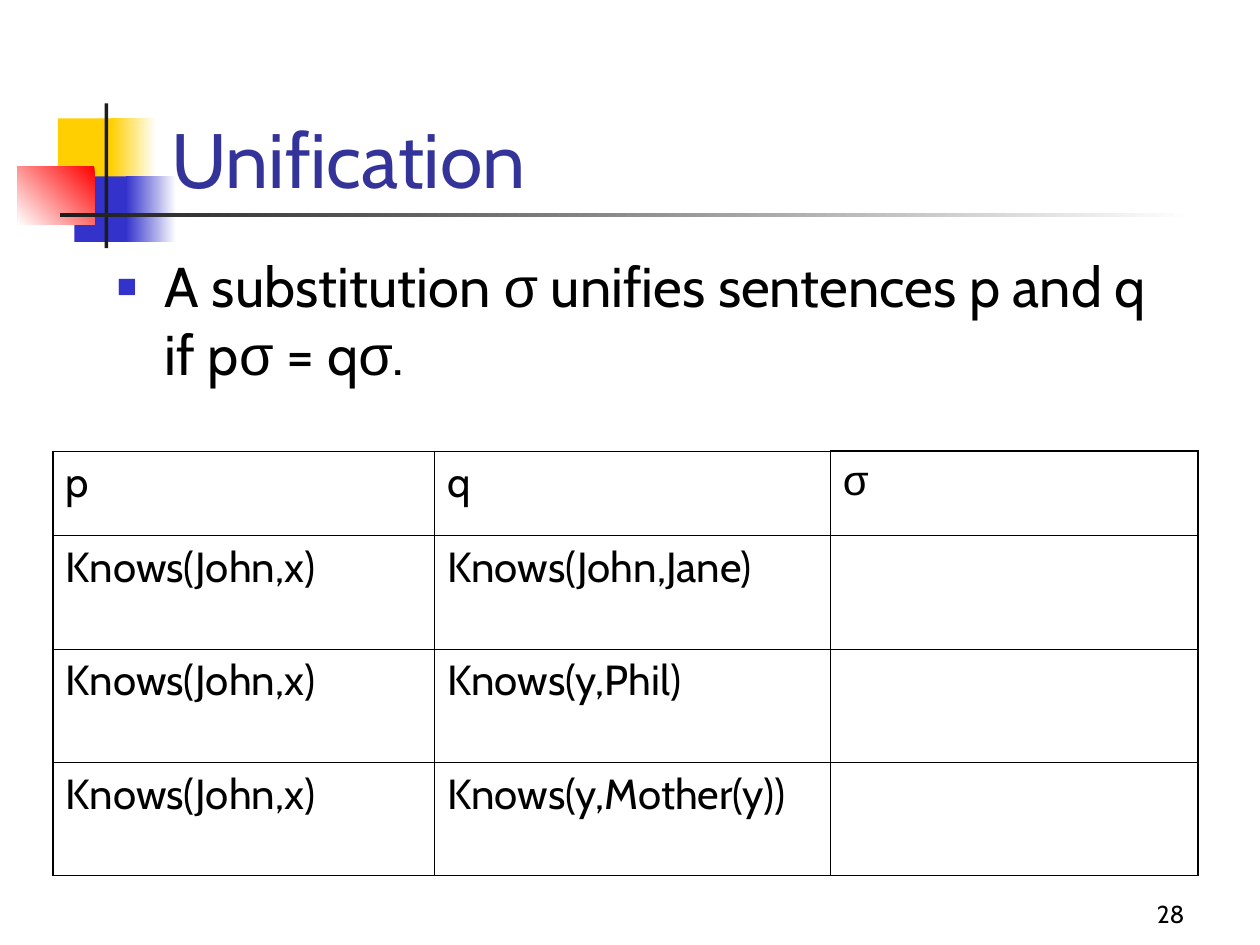
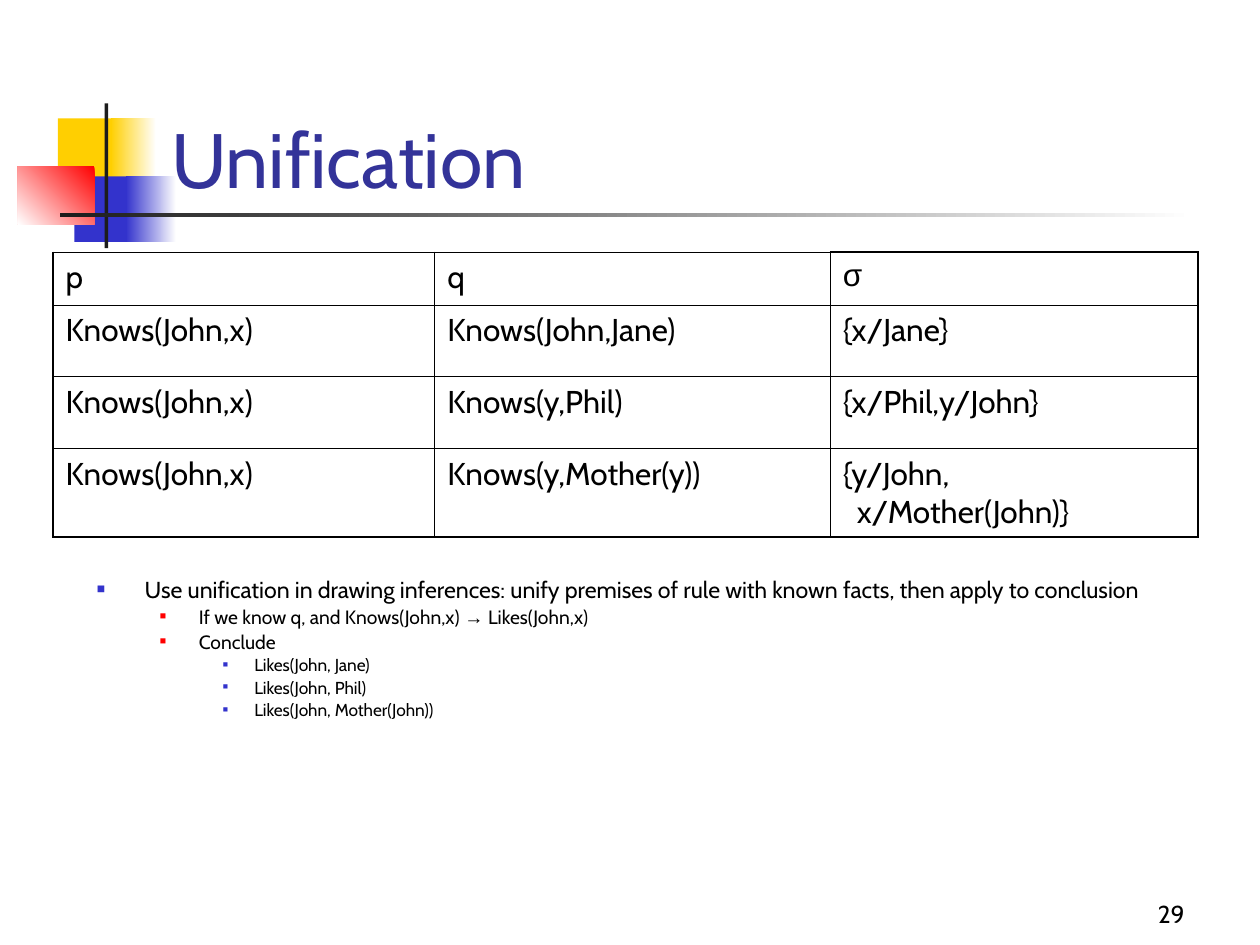
"""Build two slides on unification, with tables of substitutions."""
import itertools

import lxml.etree
import pptx
import pptx.dml.color
import pptx.enum.shapes
import pptx.enum.text
import pptx.oxml.ns
import pptx.util

Inches = pptx.util.Inches
Pt = pptx.util.Pt
RGBColor = pptx.dml.color.RGBColor
ALIGN = pptx.enum.text.PP_ALIGN
ANCHOR = pptx.enum.text.MSO_ANCHOR
RECT = pptx.enum.shapes.MSO_SHAPE.RECTANGLE

BLACK = RGBColor(0x00, 0x00, 0x00)
WHITE = RGBColor(0xFF, 0xFF, 0xFF)
GOLD = RGBColor(0xFF, 0xCF, 0x01)
BLUE = RGBColor(0x33, 0x33, 0xCC)
RED = RGBColor(0xFF, 0x00, 0x00)
INK = RGBColor(0x1C, 0x1C, 0x1C)
NAVY = RGBColor(0x33, 0x33, 0x99)

FONT, SIGN_FONT = "Cabin", "Arial"
SIGNS = "σ→"
THIN, THICK = Pt(0.45), Pt(1.08)
COLS = (3.03, 3.14, 2.92)

DECOR = (
    ((0.46, 0.94, 0.48, 0.52), (GOLD,), 0),
    ((0.88, 0.94, 0.36, 0.52), (WHITE, GOLD), 180),
    ((0.59, 1.4, 0.46, 0.52), (BLUE,), 0),
    ((1, 1.4, 0.4, 0.52), (WHITE, BLUE), 180),
    ((0.14, 1.32, 0.61, 0.46), (RED, WHITE), 225),
    ((0.83, 0.82, 0.03, 1.15), (INK,), 0),
    ((0.48, 1.69, 9, 0.03), (WHITE, INK), 180),
)

LEVELS = (
    {"left": 0.38, "hang": 0.38, "color": BLUE, "scale": 60, "gap": 6},
    {"left": 0.81, "hang": 0.31, "color": RED, "scale": 55, "gap": 5},
    {"left": 1.25, "hang": 0.25, "color": BLUE, "scale": 50, "gap": 4.5},
)

PAIRS = (
    ("Knows(John,x)", "Knows(John,Jane)"),
    ("Knows(John,x)", "Knows(y,Phil)"),
    ("Knows(John,x)", "Knows(y,Mother(y))"),
)
ANSWERS = ("{x/Jane}", "{x/Phil,y/John}", "{y/John,\nx/Mother(John)}")

RULE = ((0, "A substitution σ unifies sentences p and q if pσ = qσ.", 32),)
USES = (
    (0, "Use unification in drawing inferences: unify premises of rule "
        "with known facts, then apply to conclusion", 13.2),
    (1, "If we know q, and Knows(John,x) → Likes(John,x)", 11),
    (1, "Conclude", 11),
    (2, "Likes(John, Jane)", 9.9),
    (2, "Likes(John, Phil)", 9.9),
    (2, "Likes(John, Mother(John))", 9.9),
)


def add_node(parent, tag, **attrs):
    """Append a drawing element to a parent and return it."""
    name = pptx.oxml.ns.qn("a:" + tag)
    return lxml.etree.SubElement(parent, name, {k: str(v) for k, v in attrs.items()})


def write(par, text, size, color=BLACK):
    """Add text as runs, with signs in their own font."""
    for is_sign, chars in itertools.groupby(text, lambda c: c in SIGNS):
        run = par.add_run()
        run.text = "".join(chars)
        run.font.name = SIGN_FONT if is_sign else FONT
        run.font.size = Pt(size)
        run.font.color.rgb = color


def indent(par, left, hang):
    """Give a paragraph a hanging indent."""
    props = par._p.get_or_add_pPr()
    props.set("marL", str(Inches(left)))
    props.set("indent", str(-Inches(hang)))
    return props


def add_box(slide, place, anchor=ANCHOR.TOP):
    """Add a wrapping text box and return its frame."""
    frame = slide.shapes.add_textbox(*map(Inches, place)).text_frame
    frame.word_wrap = True
    frame.vertical_anchor = anchor
    return frame


def add_block(slide, place, colors, angle):
    """Add a borderless rectangle with a plain or graded fill."""
    block = slide.shapes.add_shape(RECT, *map(Inches, place))
    block.shadow.inherit = False
    block.line.fill.background()
    if len(colors) == 1:
        block.fill.solid()
        block.fill.fore_color.rgb = colors[0]
        return
    block.fill.gradient()
    block.fill.gradient_angle = angle
    for stop, color in zip(block.fill.gradient_stops, colors):
        stop.color.rgb = color


def add_list(slide, place, items, spacing=1.0):
    """Add a bulleted list of (level, text, size) items."""
    frame = add_box(slide, place)
    for i, (depth, text, size) in enumerate(items):
        par = frame.add_paragraph() if i else frame.paragraphs[0]
        level = LEVELS[depth]
        par.level = depth
        props = indent(par, level["left"], level["hang"])
        add_node(add_node(props, "buClr"), "srgbClr", val=level["color"])
        add_node(props, "buSzPct", val=level["scale"] * 1000)
        add_node(props, "buFont", typeface=SIGN_FONT)
        add_node(props, "buChar", char="■")
        par.line_spacing = spacing
        par.space_before = Pt(level["gap"] if i else 0)
        write(par, text, size)


def add_edge(cell, side, width):
    """Draw one border of a table cell."""
    line = add_node(cell._tc.get_or_add_tcPr(), "ln" + side, w=width)
    add_node(add_node(line, "solidFill"), "srgbClr", val=BLACK)


def fill_cell(cell, text, size):
    """Write a cell, indenting the lines after its first."""
    cell.fill.background()
    par = cell.text_frame.paragraphs[0]
    lines = text.split("\n")
    if len(lines) > 1:
        indent(par, 0.11, 0.11)
    for i, line in enumerate(lines):
        if i:
            par.add_line_break()
        write(par, line, size)


def add_grid(slide, top, heights, answers, size):
    """Add the table of sentence pairs and their unifiers."""
    rows = [("p", "q", "σ")]
    rows += [(*pair, answer) for pair, answer in zip(PAIRS, answers)]
    table = slide.shapes.add_table(
        len(rows), len(COLS), Inches(0.42), Inches(top),
        Inches(sum(COLS)), Inches(sum(heights))).table
    table.first_row = table.horz_banding = False
    for column, width in zip(table.columns, COLS):
        column.width = Inches(width)
    for row, height in zip(table.rows, heights):
        row.height = Inches(height)
    for r, row in enumerate(rows):
        for c, text in enumerate(row):
            cell = table.cell(r, c)
            last = c == len(COLS) - 1
            edges = {"L": c == 0, "R": last, "T": r == 0 and last,
                     "B": r == len(rows) - 1}
            for side, heavy in edges.items():
                add_edge(cell, side, THICK if heavy else THIN)
            fill_cell(cell, text, size)


def add_page(deck, number):
    """Add a slide with the shared blocks, title and page number."""
    slide = deck.slides.add_slide(deck.slide_layouts[6])
    for place, colors, angle in DECOR:
        add_block(slide, place, colors, angle)
    title = add_box(slide, (1.26, 0.42, 8.52, 1.25), ANCHOR.BOTTOM)
    write(title.paragraphs[0], "Unification", 44, NAVY)
    foot = add_box(slide, (7.42, 6.92, 2.08, 0.5), ANCHOR.BOTTOM).paragraphs[0]
    foot.alignment = ALIGN.RIGHT
    write(foot, str(number), 14)
    return slide


def main():
    """Build and save the deck."""
    deck = pptx.Presentation()
    deck.slide_width, deck.slide_height = Inches(10), Inches(7.5)

    slide = add_page(deck, 28)
    add_list(slide, (0.83, 1.95, 8.5, 1.3), RULE)
    add_grid(slide, 3.58, (0.67, 0.9, 0.9, 0.9), [""] * len(PAIRS), 24)

    slide = add_page(deck, 29)
    add_list(slide, (0.67, 4.58, 8.5, 1.3), USES, 0.7)
    add_grid(slide, 2, (0.42, 0.57, 0.57, 0.7), ANSWERS, 18)

    deck.save("out.pptx")


if __name__ == "__main__":
    main()
